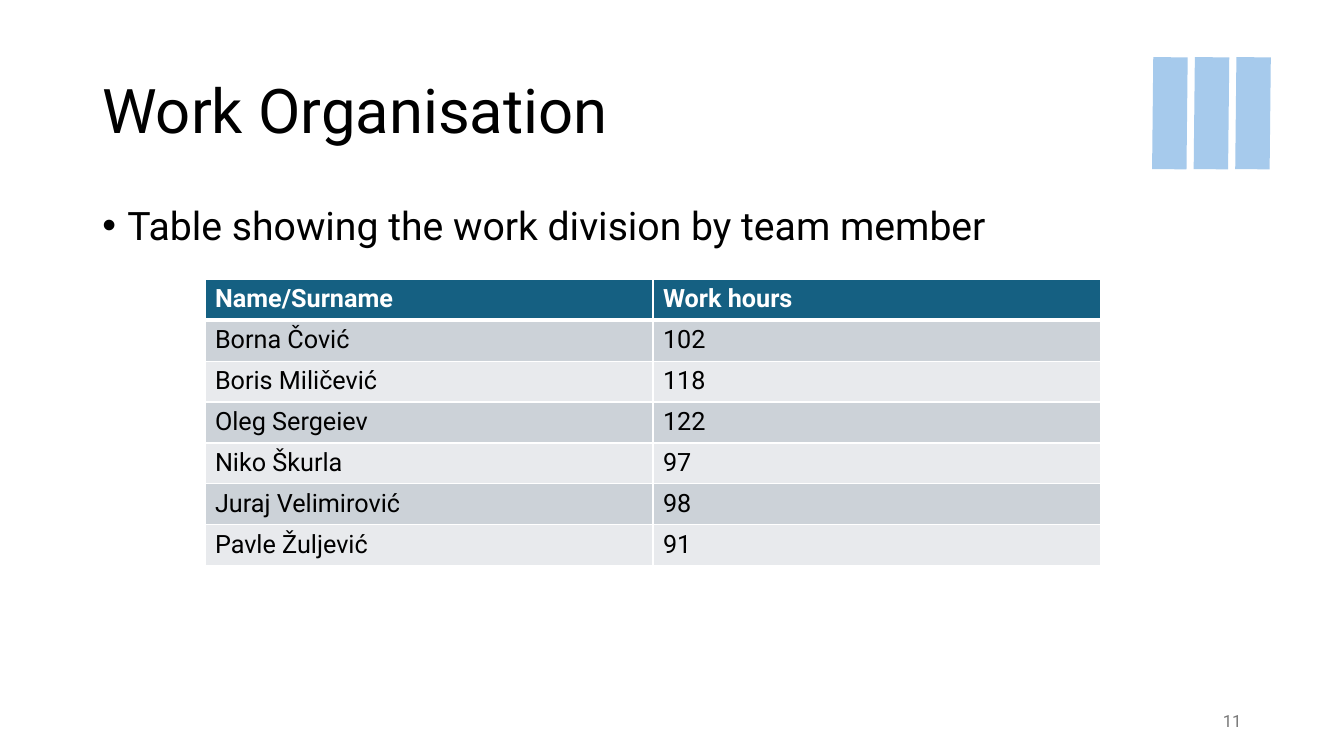
from dataclasses import dataclass

from lxml.etree import SubElement
from pptx import Presentation
from pptx.dml.color import RGBColor as RGB
from pptx.enum.shapes import MSO_SHAPE as Shape
from pptx.enum.text import MSO_ANCHOR as Anchor, PP_ALIGN as Align
from pptx.oxml import parse_xml
from pptx.oxml.ns import nsdecls, qn
from pptx.util import Pt


@dataclass(frozen=True)
class Theme:
    font: str = "Roboto"
    ink: str = "000000"
    white: str = "FFFFFF"
    muted: str = "797979"
    head: str = "156082"
    odd: str = "CCD2D8"
    even: str = "E8EAED"
    bar: str = "A6CAEC"
    title: int = 44
    body: int = 28
    cell: int = 18
    note: int = 12


THEME = Theme()
HOURS = [
    ("Name/Surname", "Work hours"),
    ("Borna Čović", "102"),
    ("Boris Miličević", "118"),
    ("Oleg Sergeiev", "122"),
    ("Niko Škurla", "97"),
    ("Juraj Velimirović", "98"),
    ("Pavle Žuljević", "91"),
]


def apply(target, values):
    for name, value in values.items():
        setattr(target, name, value)


def write(frame, text, size, color, bold=False, **para):
    line = frame.paragraphs[0]
    apply(line, para)
    run = line.add_run()
    run.text = text
    apply(run.font, {"name": THEME.font, "size": Pt(size), "bold": bold})
    run.font.color.rgb = RGB.from_string(color)
    return line


def add_text(slide, box, text, size, color, anchor=Anchor.MIDDLE, **para):
    frame = slide.shapes.add_textbox(*map(Pt, box)).text_frame
    apply(frame, {"word_wrap": True, "vertical_anchor": anchor})
    return write(frame, text, size, color, **para)


def add_bullet(line, indent):
    props = line._p.get_or_add_pPr()
    props.set("marL", str(Pt(indent)))
    props.set("indent", str(Pt(-indent)))
    SubElement(props, qn("a:buFont"), typeface="Arial")
    SubElement(props, qn("a:buChar"), char="•")


def add_edges(cell, widths):
    props = cell._tc.get_or_add_tcPr()
    for place, (side, width) in enumerate(widths.items()):
        props.insert(place, parse_xml(
            f'<a:ln{side} {nsdecls("a")} w="{Pt(width)}"><a:solidFill>'
            f'<a:srgbClr val="{THEME.white}"/></a:solidFill></a:ln{side}>'))


def add_hours(slide, left, top, width, height):
    grid = slide.shapes.add_table(
        len(HOURS), len(HOURS[0]), *map(Pt, (left, top, width, height))).table
    for row, texts in enumerate(HOURS):
        head = row == 0
        fill = THEME.head if head else THEME.odd if row % 2 else THEME.even
        color = THEME.white if head else THEME.ink
        for col, text in enumerate(texts):
            cell = grid.cell(row, col)
            cell.fill.solid()
            cell.fill.fore_color.rgb = RGB.from_string(fill)
            add_edges(cell, {"L": 1, "R": 1, "T": 3 if row == 1 else 1,
                             "B": 3 if head else 1})
            write(cell.text_frame, text, THEME.cell, color, head)


def add_bars(slide, left, top, width, height, step, count):
    for index in range(count):
        box = (left + index * step, top, width, height)
        bar = slide.shapes.add_shape(Shape.RECTANGLE, *map(Pt, box))
        bar.rotation = 90.6
        bar.shadow.inherit = False
        bar.fill.solid()
        bar.fill.fore_color.rgb = RGB.from_string(THEME.bar)
        bar.line.fill.background()


def main():
    deck = Presentation()
    apply(deck, {"slide_width": Pt(960), "slide_height": Pt(540)})
    slide = deck.slides.add_slide(deck.slide_layouts[6])
    add_text(slide, (66, 28.75, 828, 104.4), "Work Organisation",
             THEME.title, THEME.ink, line_spacing=0.9)
    line = add_text(slide, (66, 143.75, 828, 342.6),
                    "Table showing the work division by team member",
                    THEME.body, THEME.ink, Anchor.TOP,
                    line_spacing=0.9, space_before=Pt(10))
    add_bullet(line, 18)
    add_text(slide, (678, 500.5, 216, 28.75), "11",
             THEME.note, THEME.muted, alignment=Align.RIGHT)
    add_hours(slide, 146.4, 199.6, 640, 204.4)
    add_bars(slide, 795.6, 68.6, 80, 24.6, 29.7, 3)
    deck.save("out.pptx")


if __name__ == "__main__":
    main()
